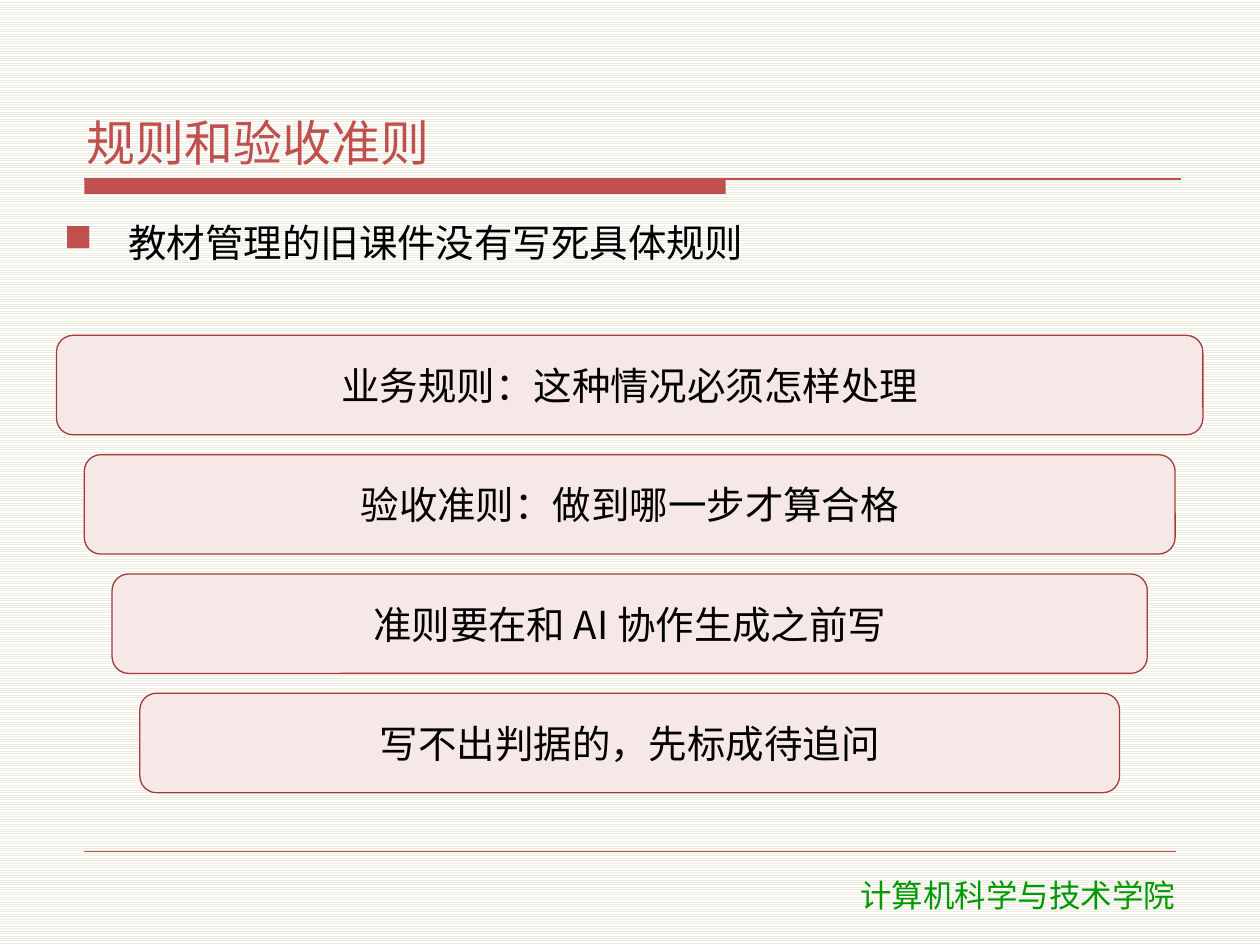
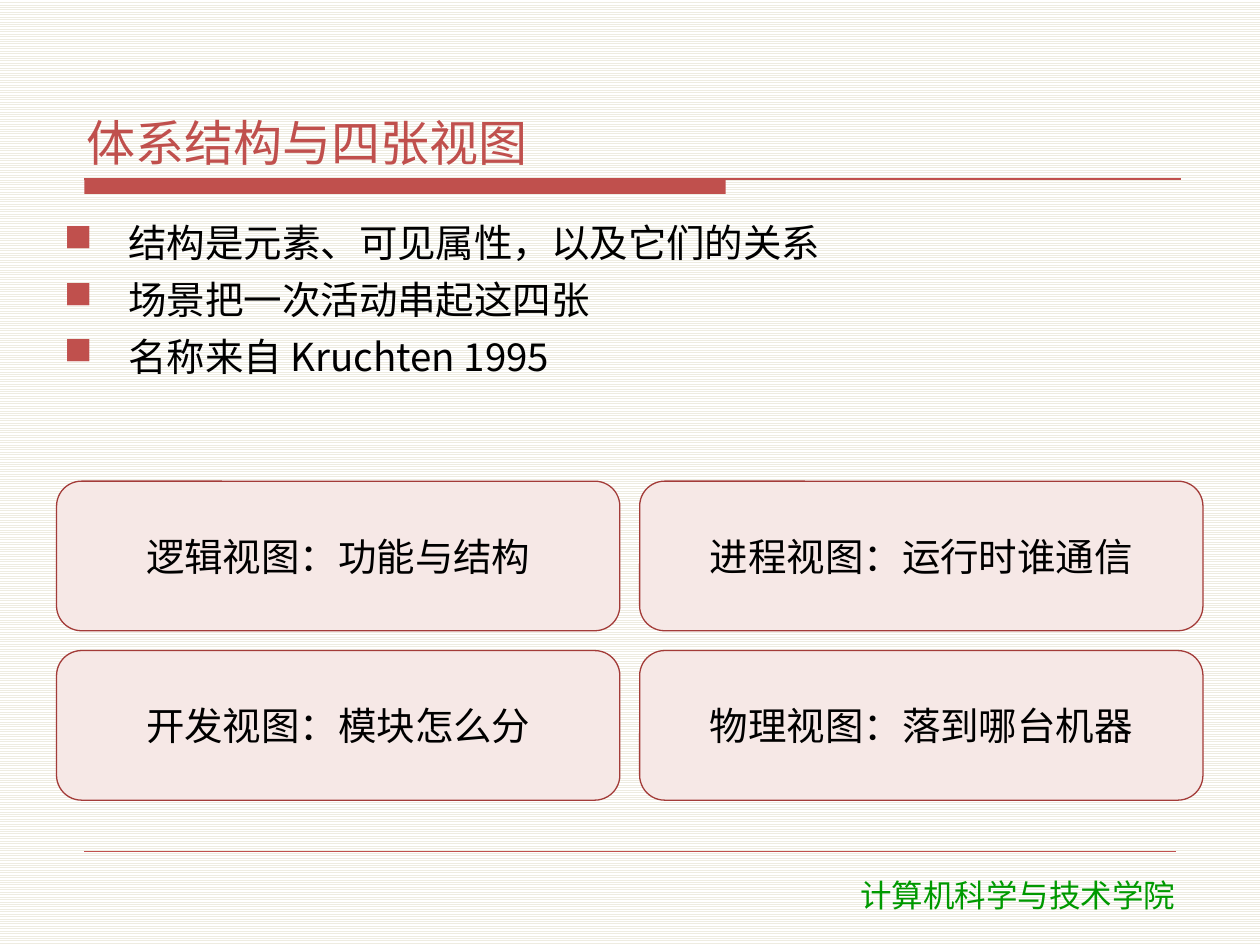
from lxml.etree import SubElement
from pptx import Presentation
from pptx.dml.color import RGBColor
from pptx.enum.dml import MSO_PATTERN
from pptx.enum.shapes import MSO_CONNECTOR, MSO_SHAPE
from pptx.enum.text import MSO_ANCHOR, PP_ALIGN
from pptx.oxml.ns import qn
from pptx.util import Cm, Pt

RED = RGBColor(0xC0, 0x50, 0x4D)
EDGE = RGBColor(0xA3, 0x3B, 0x38)
PINK = RGBColor(0xF6, 0xE8, 0xE6)
GREEN = RGBColor(0x00, 0x99, 0x00)
BLACK = RGBColor(0x00, 0x00, 0x00)
WHITE = RGBColor(0xFF, 0xFF, 0xFF)
CREAM = RGBColor(0xEE, 0xEC, 0xE1)
SANS = "Noto Sans CJK SC"
PLAIN = "DejaVu Sans"

LEFT, WIDTH, GAP = 1.14, 23.11, 0.4
INDENT = Cm(1.3)
SCHOOL = "计算机科学与技术学院"


def set_font(para, size, color, name=SANS):
    para.font.size = Pt(size)
    para.font.color.rgb = color
    para.font.name = name
    rules = para._p.pPr.find(qn("a:defRPr"))
    SubElement(rules, qn("a:ea"), typeface=name)


def set_frame(frame, anchor):
    frame.word_wrap = True
    frame.vertical_anchor = anchor
    frame.margin_left = frame.margin_right = Cm(0.15)
    frame.margin_top = frame.margin_bottom = Cm(0.05)


def add_box(slide, box):
    return slide.shapes.add_textbox(*map(Cm, box)).text_frame


def add_line(slide, left, right, top, weight):
    line = slide.shapes.add_connector(
        MSO_CONNECTOR.STRAIGHT, Cm(left), Cm(top), Cm(right), Cm(top))
    line.line.color.rgb = RED
    line.line.width = Pt(weight)
    SubElement(line._element.spPr, qn("a:effectLst"))


def add_title(slide, box, text):
    left, top, width, height = box
    base = top + height + 0.1
    bar = slide.shapes.add_shape(
        MSO_SHAPE.RECTANGLE, *map(Cm, (left + 0.1, base, 12.93, 0.3)))
    bar.shadow.inherit = False
    bar.fill.solid()
    bar.fill.fore_color.rgb = RED
    bar.line.fill.background()
    add_line(slide, left + 0.1, left + width - 0.02, base, 0.75)
    frame = add_box(slide, box)
    set_frame(frame, MSO_ANCHOR.BOTTOM)
    para = frame.paragraphs[0]
    para.text = text
    para.space_after = Pt(2)
    set_font(para, 28, RED)


def add_footer(slide, box):
    add_line(slide, 1.7, 23.7, box[1] - 0.38, 0.25)
    frame = add_box(slide, box)
    frame.word_wrap = True
    para = frame.paragraphs[0]
    para.text = SCHOOL
    para.alignment = PP_ALIGN.CENTER
    set_font(para, 18, GREEN, PLAIN)


def add_bullet(para):
    rules = para._p.get_or_add_pPr()
    rules.set("marL", str(INDENT))
    rules.set("indent", str(-INDENT))
    tint = SubElement(rules, qn("a:buClr"))
    SubElement(tint, qn("a:srgbClr"), val=str(RED))
    SubElement(rules, qn("a:buChar"), char="■")


def add_points(slide, box, points):
    frame = add_box(slide, box)
    set_frame(frame, MSO_ANCHOR.TOP)
    for i, text in enumerate(points):
        para = frame.add_paragraph() if i else frame.paragraphs[0]
        para.text = text
        add_bullet(para)
        if i:
            para.space_before = Pt(4)
        para.space_after = Pt(2)
        set_font(para, 22, BLACK)


def add_card(slide, box, text):
    card = slide.shapes.add_shape(MSO_SHAPE.ROUNDED_RECTANGLE, *map(Cm, box))
    card.shadow.inherit = False
    card.fill.solid()
    card.fill.fore_color.rgb = PINK
    card.line.color.rgb = EDGE
    card.line.width = Pt(0.75)
    set_frame(card.text_frame, MSO_ANCHOR.MIDDLE)
    para = card.text_frame.paragraphs[0]
    para.text = text
    para.alignment = PP_ALIGN.CENTER
    para.space_after = Pt(2)
    set_font(para, 22, BLACK)


def add_steps(slide, box, texts, inset=0.56):
    left, top, width, height = box
    tall = (height + GAP) / len(texts) - GAP
    for i, text in enumerate(texts):
        shift = i * inset
        place = left + shift, top + i * (tall + GAP), width - 2 * shift, tall
        add_card(slide, place, text)


def add_grid(slide, box, texts, cols=2):
    left, top, width, height = box
    rows = len(texts) // cols
    wide = (width + GAP) / cols - GAP
    tall = (height + GAP) / rows - GAP
    for i, text in enumerate(texts):
        row, col = divmod(i, cols)
        place = left + col * (wide + GAP), top + row * (tall + GAP), wide, tall
        add_card(slide, place, text)


def add_page(deck, title, points, tall):
    slide = deck.slides.add_slide(deck.slide_layouts[6])
    fill = slide.background.fill
    fill.patterned()
    fill.pattern = MSO_PATTERN.LIGHT_HORIZONTAL
    fill.fore_color.rgb = CREAM
    fill.back_color.rgb = WHITE
    add_footer(slide, (15.42, 17.53, 10.2, 1.02))
    add_title(slide, (1.6, 0.84, 22.22, 2.67), title)
    add_points(slide, (LEFT, 4.37, WIDTH, tall), points)
    return slide


def main():
    deck = Presentation()
    deck.slide_width, deck.slide_height = Cm(25.4), Cm(19.05)

    rules = add_page(deck, "规则和验收准则", ["教材管理的旧课件没有写死具体规则"], 2.18)
    add_steps(rules, (LEFT, 6.76, WIDTH, 9.22), [
        "业务规则：这种情况必须怎样处理",
        "验收准则：做到哪一步才算合格",
        "准则要在和 AI 协作生成之前写",
        "写不出判据的，先标成待追问",
    ])

    views = add_page(deck, "体系结构与四张视图", [
        "结构是元素、可见属性，以及它们的关系",
        "场景把一次活动串起这四张",
        "名称来自 Kruchten 1995",
    ], 5.13)
    add_grid(views, (LEFT, 9.7, WIDTH, 6.43), [
        "逻辑视图：功能与结构",
        "进程视图：运行时谁通信",
        "开发视图：模块怎么分",
        "物理视图：落到哪台机器",
    ])
    deck.save("out.pptx")


if __name__ == "__main__":
    main()
